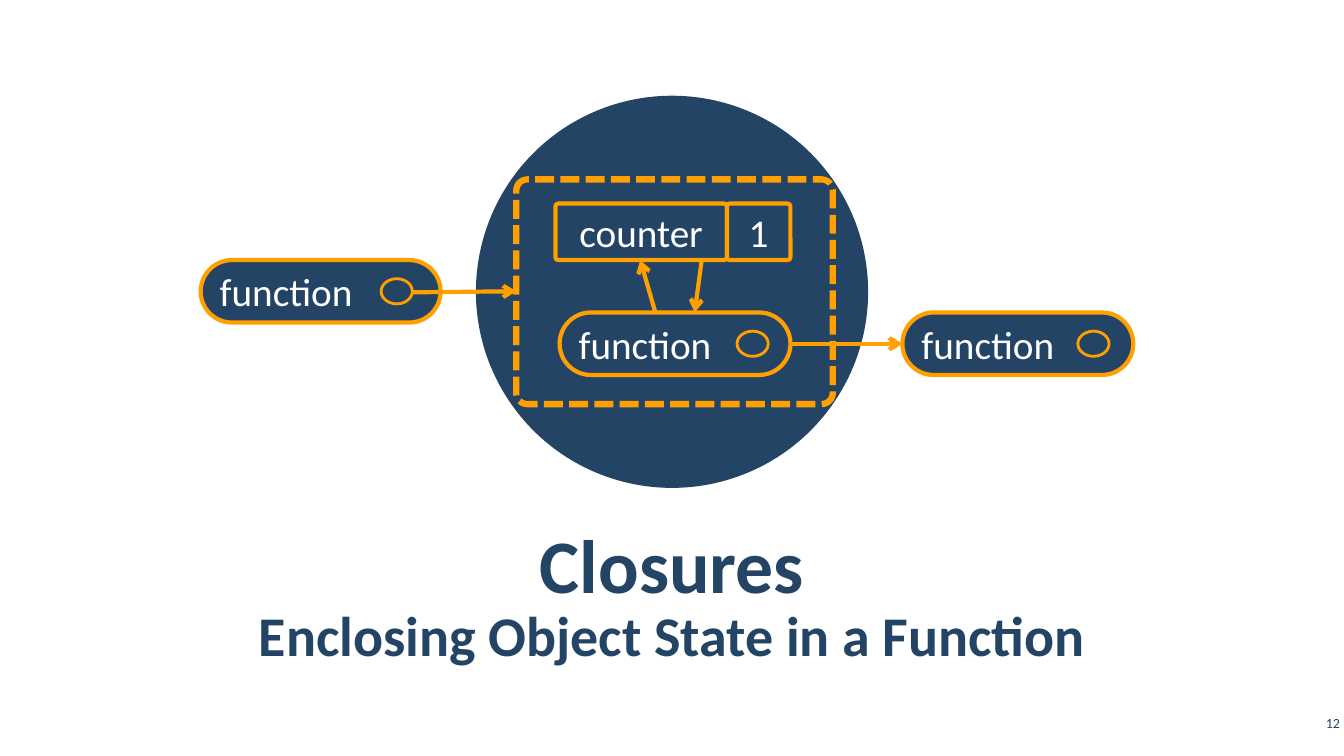
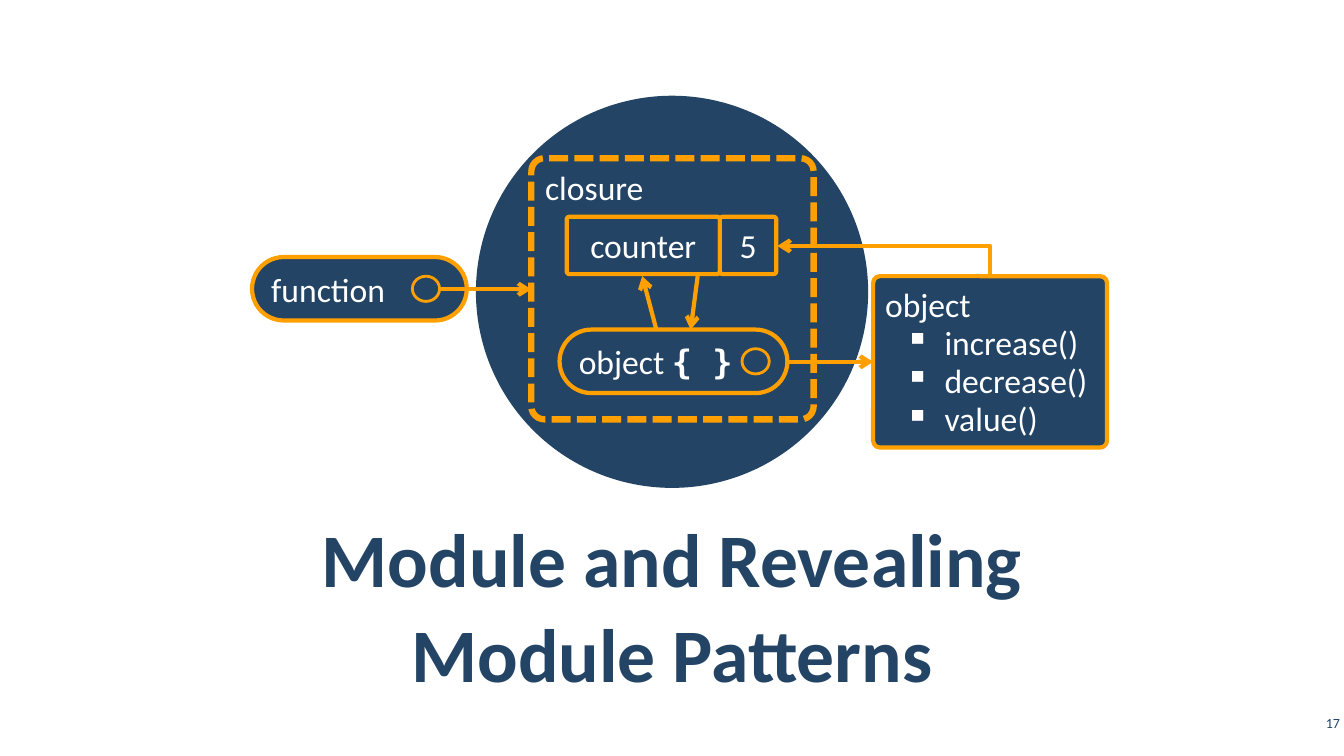
import dataclasses
import typing

import lxml.etree
import pptx
import pptx.dml.color
import pptx.enum.shapes
import pptx.enum.text
import pptx.oxml.ns
import pptx.util

Inches = pptx.util.Inches
Pt = pptx.util.Pt
Shapes = pptx.enum.shapes.MSO_SHAPE
Align = pptx.enum.text.PP_ALIGN
Anchor = pptx.enum.text.MSO_ANCHOR
qn = pptx.oxml.ns.qn

NAVY = "234465"
ORANGE = "FFA000"
WHITE = "FFFFFF"
FONT = "Calibri"
CODE_FONT = "DejaVu Sans Mono"
BULLET = "▪"
PORT_HEIGHT = 0.25


class Rect(typing.NamedTuple):
    left: float
    top: float
    width: float
    height: float


class Arrow(typing.NamedTuple):
    start: tuple[float, float]
    end: tuple[float, float]


class Heading(typing.NamedTuple):
    lines: tuple[str, ...]
    top: float
    height: float
    size: int


@dataclasses.dataclass(frozen=True)
class Box:
    rect: Rect
    text: str = ""
    code: str = ""
    bullets: tuple[str, ...] = ()
    corner: float = 0.05
    centered: bool = False
    dashed: bool = False
    port_left: float | None = None


@dataclasses.dataclass(frozen=True)
class Diagram:
    number: int
    headings: tuple[Heading, ...]
    text_size: int
    port_width: float
    boxes: tuple[Box, ...]
    arrows: tuple[Arrow, ...]
    elbow: Arrow | None = None


def pill(rect: Rect, text: str, port_left: float | None, code: str = "") -> Box:
    return Box(rect, text, code, corner=0.5, port_left=port_left)


def cell(rect: Rect, text: str) -> Box:
    return Box(rect, text, centered=True)


def frame(rect: Rect, text: str = "") -> Box:
    return Box(rect, text, dashed=True)


DIAGRAMS = (
    Diagram(
        number=12,
        headings=(
            Heading(("Closures",), 5.15, 0.84, 54),
            Heading(("Enclosing Object State in a Function",), 6, 0.55, 40),
        ),
        text_size=28,
        port_width=0.31,
        boxes=(
            frame(Rect(5.12, 1.78, 3.14, 2.23)),
            pill(Rect(1.99, 2.58, 2.38, 0.62), "function", 3.78),
            pill(Rect(8.95, 3.1, 2.29, 0.62), "function", 10.69),
            cell(Rect(5.51, 2.02, 1.7, 0.56), "counter"),
            pill(Rect(5.55, 3.1, 2.29, 0.62), "function", 7.31),
            cell(Rect(7.21, 2.02, 0.63, 0.56), "1"),
        ),
        arrows=(
            Arrow((6.5, 3.1), (6.35, 2.58)),
            Arrow((6.96, 2.58), (6.89, 3.1)),
            Arrow((4.09, 2.9), (5.12, 2.89)),
            Arrow((7.84, 3.41), (8.95, 3.41)),
        ),
    ),
    Diagram(
        number=17,
        headings=(Heading(("Module and Revealing", "Module Patterns"), 5.15, 1.65, 54),),
        text_size=24,
        port_width=0.27,
        boxes=(
            frame(Rect(5.27, 1.57, 2.8, 2.59), "closure"),
            pill(Rect(2.5, 2.55, 2.13, 0.63), "function", 4.09),
            Box(Rect(8.66, 2.74, 2.32, 1.7), "object", corner=0.04,
                bullets=("increase()", "decrease()", "value()")),
            cell(Rect(5.62, 2.15, 1.52, 0.57), "counter"),
            pill(Rect(5.55, 3.27, 2.26, 0.63), "object ", 7.36, code="{ }"),
            cell(Rect(7.14, 2.15, 0.56, 0.57), "5"),
        ),
        arrows=(
            Arrow((6.51, 3.27), (6.37, 2.74)),
            Arrow((6.92, 2.74), (6.85, 3.27)),
            Arrow((4.37, 2.87), (5.27, 2.87)),
            Arrow((7.81, 3.59), (8.66, 3.59)),
        ),
        elbow=Arrow((9.82, 2.74), (7.71, 2.44)),
    ),
)


def color(value: str) -> pptx.dml.color.RGBColor:
    return pptx.dml.color.RGBColor.from_string(value)


def style_font(font, size: int, value: str, bold: bool = False) -> None:
    font.name = FONT
    font.size = Pt(size)
    font.bold = bold
    font.color.rgb = color(value)


def add_line_detail(shape, tag: str, value: str, key: str) -> None:
    line = shape._element.spPr.find(qn("a:ln"))
    lxml.etree.SubElement(line, qn(tag)).set(key, value)


def add_outline(shape, width: float) -> None:
    shape.line.color.rgb = color(ORANGE)
    shape.line.width = Pt(width)


def add_filled(page, kind, rect: Rect, line_width: float = 0):
    shape = page.shapes.add_shape(kind, *map(Inches, rect))
    shape.shadow.inherit = False
    shape.fill.solid()
    shape.fill.fore_color.rgb = color(NAVY)
    if line_width:
        add_outline(shape, line_width)
    else:
        shape.line.fill.background()
    return shape


def add_text_box(page, rect: Rect, side_inset: float):
    text = page.shapes.add_textbox(*map(Inches, rect)).text_frame
    text.word_wrap = True
    text.vertical_anchor = Anchor.MIDDLE
    text.margin_left = text.margin_right = Inches(side_inset)
    text.margin_top = text.margin_bottom = Inches(0.04)
    return text


def add_heading(page, heading: Heading) -> None:
    para = add_text_box(page, Rect(0.67, heading.top, 11.99, heading.height), 0.12).paragraphs[0]
    for index, words in enumerate(heading.lines):
        if index:
            para.add_line_break()
        para.add_run().text = words
    para.alignment = Align.CENTER
    para.line_spacing = 1.05
    para.space_before = para.space_after = Pt(6)
    style_font(para.font, heading.size, NAVY, bold=True)


def add_number(page, number: int) -> None:
    para = add_text_box(page, Rect(12.86, 7, 0.47, 0.34), 0.04).paragraphs[0]
    para.text = str(number)
    para.alignment = Align.RIGHT
    style_font(para.font, 10, NAVY)


def add_bullet(para) -> None:
    properties = para._p.get_or_add_pPr()
    properties.set("marL", str(Inches(0.59)))
    properties.set("indent", str(Inches(-0.39)))
    tint = lxml.etree.SubElement(properties, qn("a:buClr"))
    lxml.etree.SubElement(tint, qn("a:srgbClr")).set("val", WHITE)
    lxml.etree.SubElement(properties, qn("a:buChar")).set("char", BULLET)
    para.line_spacing = 0.95


def fill_text(text, box: Box, size: int) -> None:
    text.word_wrap = True
    text.vertical_anchor = Anchor.TOP if box.dashed else Anchor.MIDDLE
    para = text.paragraphs[0]
    para.text = box.text
    if box.code:
        span = para.add_run()
        span.text = box.code
        span.font.name = CODE_FONT
        span.font.bold = True
    for words in box.bullets:
        item = text.add_paragraph()
        item.text = words
        add_bullet(item)
    for para in text.paragraphs:
        para.alignment = Align.CENTER if box.centered else Align.LEFT
        style_font(para.font, size, WHITE)


def add_box(page, box: Box, diagram: Diagram) -> None:
    shape = add_filled(page, Shapes.ROUNDED_RECTANGLE, box.rect, 4.5 if box.dashed else 3)
    shape.adjustments[0] = box.corner
    if box.dashed:
        add_line_detail(shape, "a:prstDash", "sysDash", "val")
    if box.text:
        fill_text(shape.text_frame, box, diagram.text_size)
    if box.port_left is not None:
        top = box.rect.top + (box.rect.height - PORT_HEIGHT) / 2
        add_filled(page, Shapes.OVAL, Rect(box.port_left, top, diagram.port_width, PORT_HEIGHT), 2)


def add_connector(page, kind, start: tuple[float, float], end: tuple[float, float], arrowhead: str):
    connector = page.shapes.add_connector(kind, *map(Inches, (*start, *end)))
    add_outline(connector, 3)
    add_line_detail(connector, arrowhead, "arrow", "type")
    lxml.etree.SubElement(connector._element.spPr, qn("a:effectLst"))
    return connector


def add_elbow(page, arrow: Arrow) -> None:
    kind = pptx.enum.shapes.MSO_CONNECTOR.ELBOW
    connector = add_connector(page, kind, arrow.end, arrow.start, "a:headEnd")
    connector._element.spPr.find(qn("a:prstGeom")).set("prst", "bentConnector2")


def add_diagram(deck, diagram: Diagram) -> None:
    page = deck.slides.add_slide(deck.slide_layouts[6])
    add_filled(page, Shapes.OVAL, Rect(4.72, 0.95, 3.89, 3.89))
    for heading in diagram.headings:
        add_heading(page, heading)
    add_number(page, diagram.number)
    for box in diagram.boxes:
        add_box(page, box, diagram)
    for arrow in diagram.arrows:
        add_connector(page, pptx.enum.shapes.MSO_CONNECTOR.STRAIGHT, arrow.start, arrow.end, "a:tailEnd")
    if diagram.elbow:
        add_elbow(page, diagram.elbow)


def main() -> None:
    deck = pptx.Presentation()
    deck.slide_width = Inches(13.33)
    deck.slide_height = Inches(7.5)
    for diagram in DIAGRAMS:
        add_diagram(deck, diagram)
    deck.save("out.pptx")


if __name__ == "__main__":
    main()
